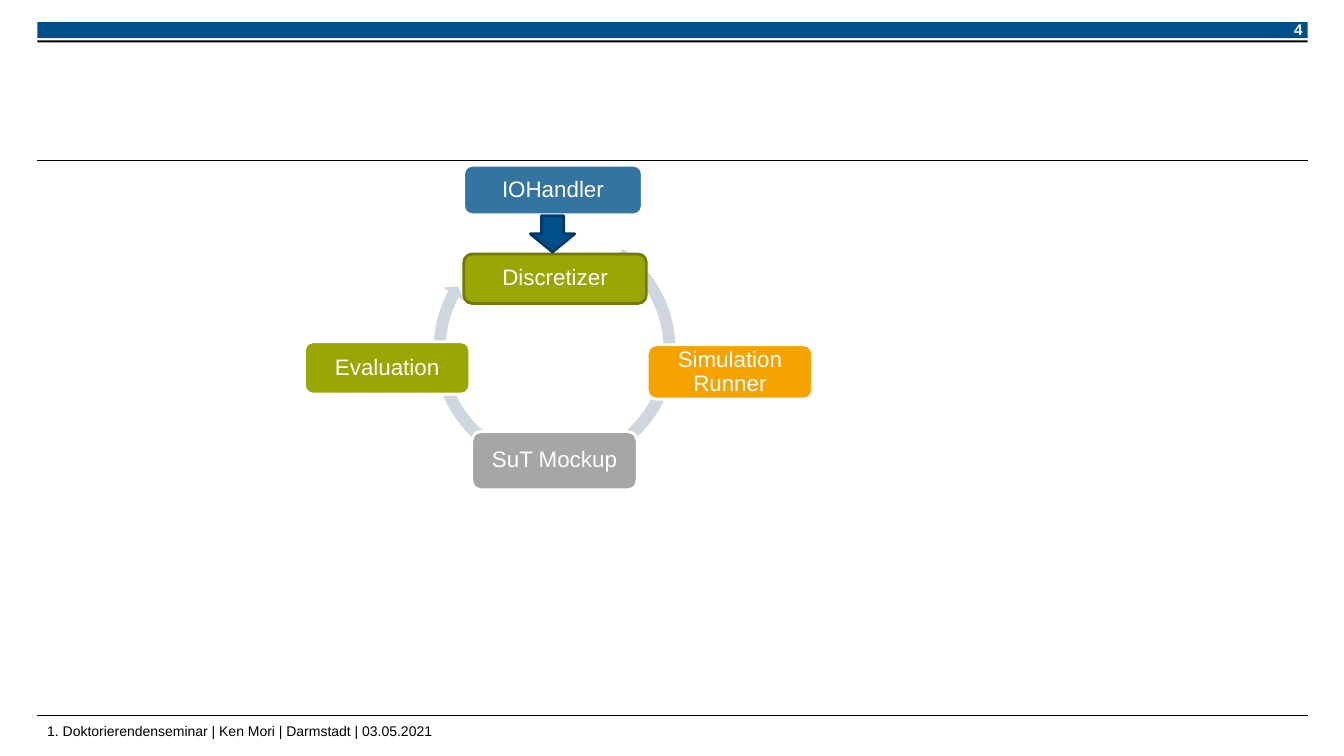
from pptx import Presentation
from pptx.dml.color import RGBColor
from pptx.enum.shapes import MSO_CONNECTOR, MSO_SHAPE
from pptx.enum.text import MSO_ANCHOR, PP_ALIGN
from pptx.oxml.ns import qn
from pptx.util import Inches, Pt
from lxml import etree

BLUE = RGBColor(0x00, 0x4E, 0x8A)
DARK_BLUE = RGBColor(0x00, 0x3A, 0x66)
STEEL = RGBColor(0x33, 0x74, 0xA1)
PALE = RGBColor(0xCE, 0xD6, 0xE0)
GREEN = RGBColor(0x99, 0xA6, 0x04)
DARK_GREEN = RGBColor(0x71, 0x7B, 0x03)
ORANGE = RGBColor(0xF5, 0xA3, 0x00)
GREY = RGBColor(0xA6, 0xA6, 0xA6)
WHITE = RGBColor(0xFF, 0xFF, 0xFF)
BLACK = RGBColor(0x00, 0x00, 0x00)

LEFT, RIGHT = 0.37, 12.97


def write(sp, text, size=16, color=WHITE, bold=False, align=PP_ALIGN.CENTER,
          anchor=MSO_ANCHOR.MIDDLE, insets=(0.09, 0.09, 0.09, 0.09),
          spacing=None, wrap=True):
    tf = sp.text_frame
    tf.word_wrap = wrap
    tf.vertical_anchor = anchor
    tf.margin_left, tf.margin_top, tf.margin_right, tf.margin_bottom = map(Inches, insets)
    p = tf.paragraphs[0]
    p.alignment = align
    p.line_spacing = spacing
    r = p.add_run()
    r.text = text
    r.font.name = "Arial"
    r.font.size = Pt(size)
    r.font.bold = bold
    r.font.color.rgb = color


def add_shape(s, kind, box, fill, line=None):
    sp = s.shapes.add_shape(kind, *map(Inches, box))
    sp.shadow.inherit = False
    sp.fill.solid()
    sp.fill.fore_color.rgb = fill
    if line is None:
        sp.line.fill.background()
    else:
        sp.line.color.rgb = line
        sp.line.width = Pt(2)
    return sp


def add_rule(s, y):
    line = s.shapes.add_connector(MSO_CONNECTOR.STRAIGHT, Inches(LEFT), Inches(y),
                                  Inches(RIGHT), Inches(y))
    line.line.color.rgb = BLACK
    line.line.width = Pt(0.6)
    etree.SubElement(line._element.spPr, qn("a:effectLst"))


def add_step(s, text, box, fill, line=WHITE):
    sp = add_shape(s, MSO_SHAPE.ROUNDED_RECTANGLE, box, fill, line)
    write(sp, text, spacing=0.9)


def add_label(s, text, box, **fmt):
    write(s.shapes.add_textbox(*map(Inches, box)), text, anchor=MSO_ANCHOR.TOP, **fmt)


def main():
    prs = Presentation()
    prs.slide_width, prs.slide_height = Inches(13.33), Inches(7.5)
    s = prs.slides.add_slide(prs.slide_layouts[6])

    # Header bar, rules, footer and page number
    add_shape(s, MSO_SHAPE.RECTANGLE, (LEFT, 0.22, RIGHT - LEFT, 0.16), BLUE)
    add_shape(s, MSO_SHAPE.RECTANGLE, (LEFT, 0.4, RIGHT - LEFT, 0.02), BLACK)
    for y in (1.59, 7.1):
        add_rule(s, y)
    add_label(s, "1. Doktorierendenseminar | Ken Mori | Darmstadt | 03.05.2021",
              (LEFT, 7.12, 7.55, 0.23), size=10, color=BLACK, align=PP_ALIGN.LEFT,
              insets=(0.1, 0.05, 0, 0.05))
    add_label(s, "4", (12.5, 0.15, 0.52, 0.29), size=11, bold=True,
              align=PP_ALIGN.RIGHT, insets=(0.1, 0.05, 0.1, 0.05), wrap=False)

    # Cycle ring behind the steps (angles in units of 100000/60000 degrees)
    ring = add_shape(s, MSO_SHAPE.CIRCULAR_ARROW, (4.24, 2.2, 2.52, 2.52), PALE)
    for i, value in enumerate((0.047, 2.729, 125.019, 182.608, 0.048)):
        ring.adjustments[i] = value

    # Input handler and the steps of the cycle
    add_step(s, "IOHandler", (4.6, 1.64, 1.77, 0.49), STEEL)
    add_step(s, "Discretizer", (4.6, 2.52, 1.81, 0.49), GREEN, DARK_GREEN)
    add_step(s, "Simulation Runner", (6.42, 3.42, 1.64, 0.54), ORANGE)
    add_step(s, "SuT Mockup", (4.68, 4.28, 1.64, 0.58), GREY)
    add_step(s, "Evaluation", (3.02, 3.39, 1.64, 0.52), GREEN)

    # Arrow from the handler into the cycle
    arrow = add_shape(s, MSO_SHAPE.RIGHT_ARROW, (5.3, 2.1, 0.36, 0.44), BLUE, DARK_BLUE)
    arrow.rotation = 90

    prs.save("out.pptx")


if __name__ == "__main__":
    main()
